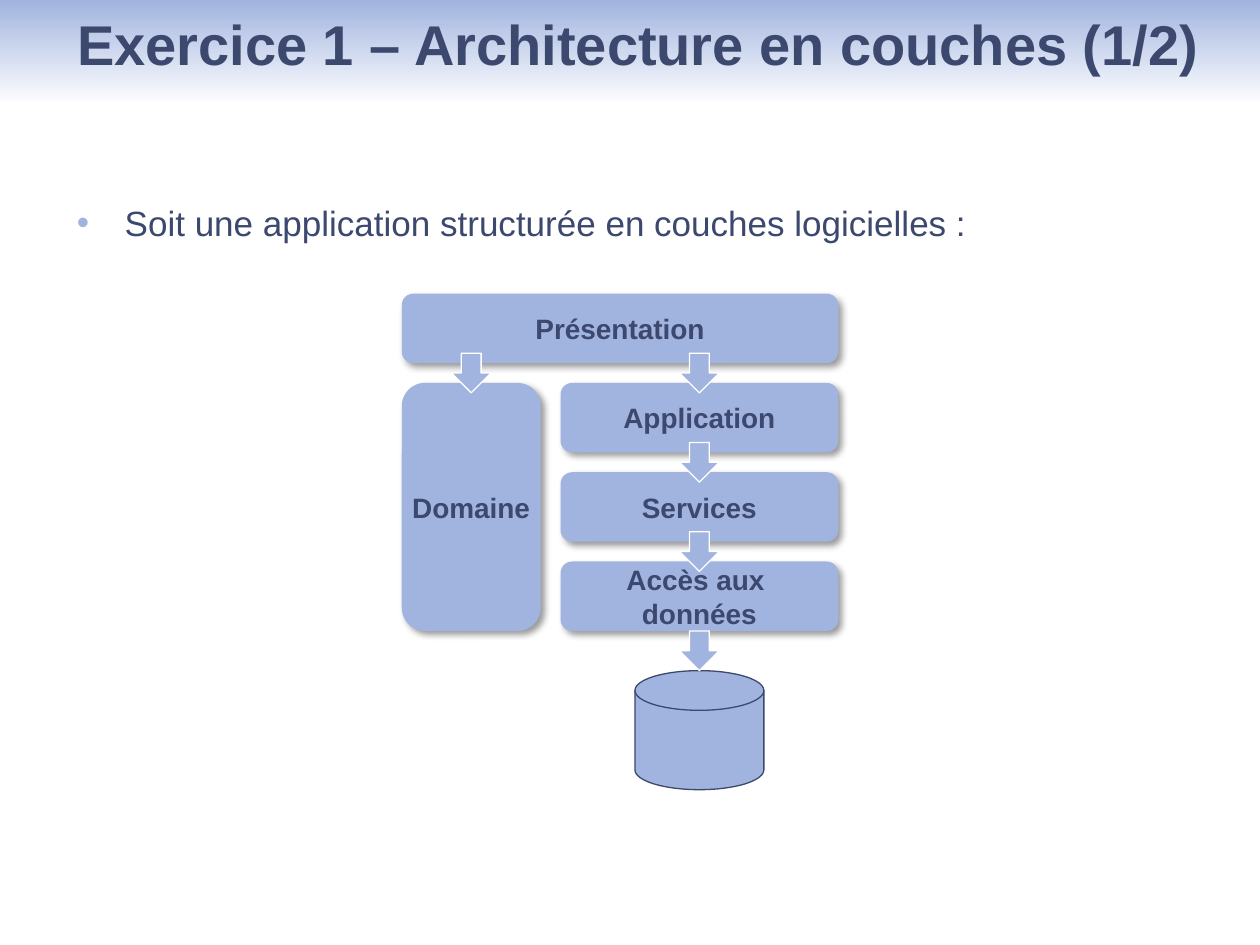
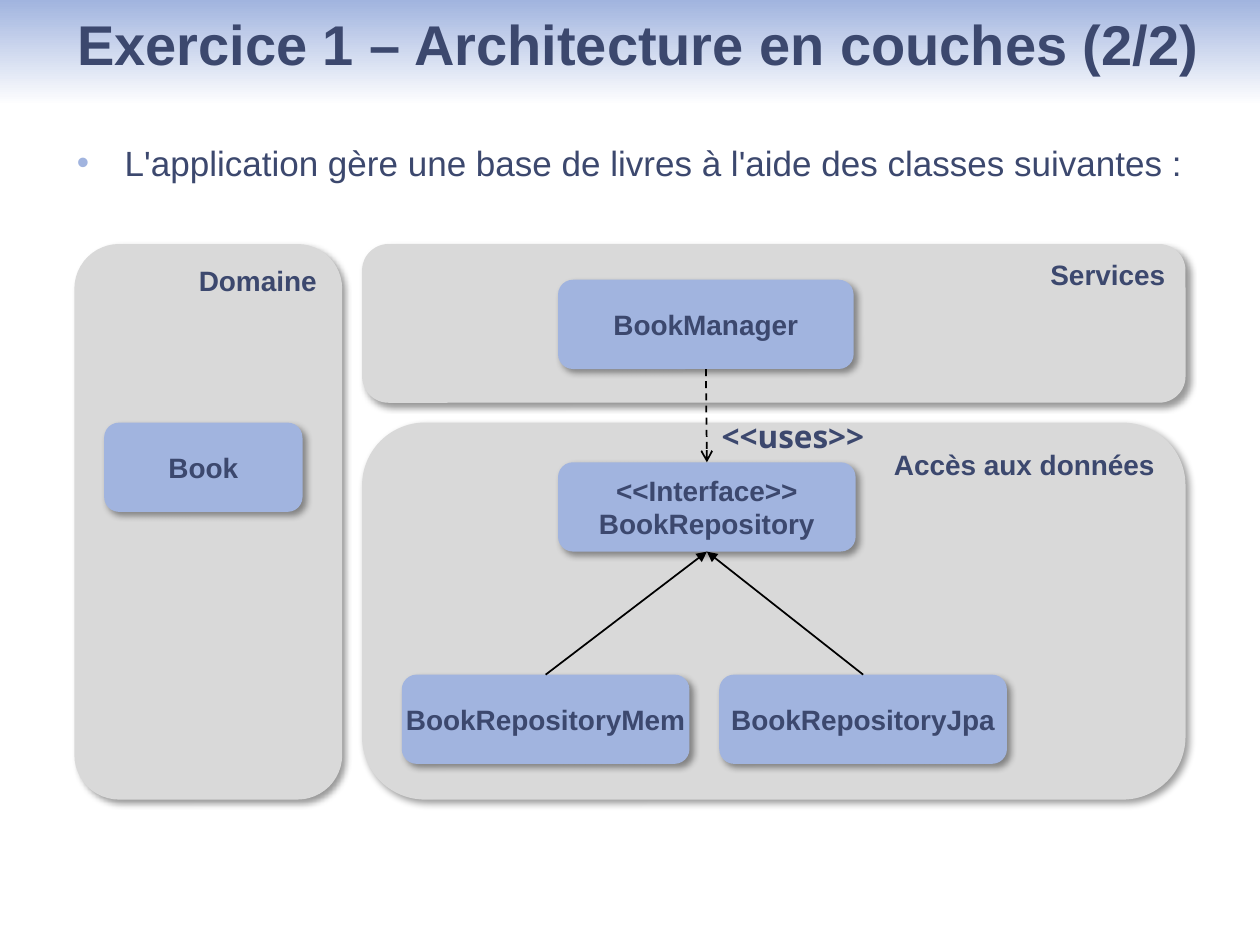
from dataclasses import dataclass

from lxml import etree
from pptx import Presentation
from pptx.dml.color import RGBColor
from pptx.enum.dml import MSO_LINE as Dash
from pptx.enum.shapes import MSO_CONNECTOR as Connector, MSO_SHAPE as Preset
from pptx.enum.text import MSO_ANCHOR as Anchor, MSO_AUTO_SIZE as AutoSize, PP_ALIGN as Align
from pptx.oxml import parse_xml
from pptx.oxml.ns import nsdecls, qn
from pptx.util import Inches, Pt


@dataclass(frozen=True)
class Theme:
    ink: str = "3C486E"
    accent: str = "A1B4DF"
    panel: str = "D9D9D9"
    white: str = "FFFFFF"
    black: str = "000000"
    font: str = "Arial"
    uses_font: str = "Open Sans"
    title: int = 32
    body: int = 20
    label: int = 16
    uses: int = 18


theme = Theme()

presentation = Presentation()
presentation.slide_width = Inches(10)
presentation.slide_height = Inches(7.5)
columns = 127
cell = presentation.slide_width / columns
layout = presentation.slide_layouts[5]


def add_block(slide, preset, box, fill, outline=None, shadow=False):
    shape = slide.shapes.add_shape(preset, *[round(value * cell) for value in box])
    shape.shadow.inherit = False
    shape.fill.solid()
    shape.fill.fore_color.rgb = RGBColor.from_string(fill)
    if outline:
        shape.line.color.rgb = RGBColor.from_string(outline)
        shape.line.width = Pt(0.75)
    else:
        shape.line.fill.background()
    if shadow:
        shape.element.spPr.find(qn("a:effectLst")).append(parse_xml(
            f'<a:outerShdw {nsdecls("a")} blurRad="50800" dist="38100" dir="2700000" algn="tl" rotWithShape="0">'
            f'<a:srgbClr val="{theme.black}"><a:alpha val="40000"/></a:srgbClr></a:outerShdw>'))
    return shape


def write_text(shape, text, size, frame_format, paragraph_format, bold=True, font=theme.font):
    frame = shape.text_frame
    frame.text = text
    for name, value in frame_format.items():
        setattr(frame, name, value)
    for paragraph in frame.paragraphs:
        for name, value in paragraph_format.items():
            setattr(paragraph, name, value)
        for run in paragraph.runs:
            for name, value in {"name": font, "size": Pt(size), "bold": bold}.items():
                setattr(run.font, name, value)
            run.font.color.rgb = RGBColor.from_string(theme.ink)


title_frame = {"vertical_anchor": Anchor.MIDDLE, "word_wrap": True, "auto_size": AutoSize.NONE}
body_frame = {"vertical_anchor": Anchor.TOP, "word_wrap": True}
centre_frame = {"vertical_anchor": Anchor.MIDDLE, "word_wrap": False}
corner_frame = {"vertical_anchor": Anchor.TOP, "word_wrap": False}
left, centred, right = [{"alignment": side} for side in (Align.LEFT, Align.CENTER, Align.RIGHT)]

slides = []
for title, title_columns, intro, intro_row, intro_rows in [
    ("Exercice 1 – Architecture en couches (1/2)", 118,
     "Soit une application structurée en couches logicielles :", 19.7, 59),
    ("Exercice 1 – Architecture en couches (2/2)", 117,
     "L'application gère une base de livres à l'aide des classes suivantes :", 13.6, 65),
]:
    slide = presentation.slides.add_slide(layout)
    slides.append(slide)
    heading = slide.shapes.title
    for name, value in {"left": 6.5, "top": 0, "width": title_columns, "height": 8.6}.items():
        setattr(heading, name, round(value * cell))
    write_text(heading, title, theme.title, title_frame, left)
    body = slide.shapes.add_textbox(*[round(value * cell) for value in (6.5, intro_row, 114.3, intro_rows)])
    write_text(body, intro, theme.body, body_frame, {**left, "space_before": Pt(4)}, bold=False)
    properties = body.text_frame.paragraphs[0]._p.get_or_add_pPr()
    properties.set("marL", str(Inches(0.38)))
    properties.set("indent", str(-Inches(0.38)))
    bullet_color = etree.SubElement(properties, qn("a:buClr"))
    etree.SubElement(bullet_color, qn("a:srgbClr"), val=theme.accent)
    etree.SubElement(properties, qn("a:buFont"), typeface=theme.font)
    etree.SubElement(properties, qn("a:buChar"), char="•")

layers_slide, classes_slide = slides

band = add_block(layers_slide, Preset.RECTANGLE, (0, 0, columns, 10.65), theme.accent)
band.fill.gradient()
band.fill.gradient_angle = 270
for stop, color, position in zip(band.fill.gradient_stops, (theme.accent, theme.white), (0, 1)):
    stop.color.rgb = RGBColor.from_string(color)
    stop.position = position
presentation.slide_master.shapes.element.insert(2, band.element)

first_row, layer_step, layer_rows = 29.6, 9, 7
stack_left, stack_columns = 40.5, 44
inner_left, inner_columns = 56.5, 28
layer_tops = [first_row + layer_step * index for index in range(4)]
layers = [
    ("Présentation", stack_left, layer_tops[0], stack_columns, layer_rows),
    ("Domaine", stack_left, layer_tops[1], 14, 25),
]
for name, top in zip(("Application", "Services", "Accès aux \ndonnées"), layer_tops[1:]):
    layers.append((name, inner_left, top, inner_columns, layer_rows))
for name, *box in layers:
    layer = add_block(layers_slide, Preset.ROUNDED_RECTANGLE, box, theme.accent, shadow=True)
    write_text(layer, name, theme.label, centre_frame, centred)

database_top = layer_tops[3] + layer_rows + 4
add_block(layers_slide, Preset.FLOWCHART_MAGNETIC_DISK, (64, database_top, 13, 12), theme.accent, theme.ink)
arrow_places = [(68.5, top + 6) for top in layer_tops[:3]]
arrow_places += [(68.5, database_top - 4), (45.5, layer_tops[0] + 6)]
for column, row in arrow_places:
    add_block(layers_slide, Preset.DOWN_ARROW, (column, row, 4, 4), theme.accent, theme.white)

for name, *box in [
    ("Services", 36.5, 24.6, 83, 16),
    ("Accès aux données", 36.5, 42.6, 83, 38),
    ("Domaine", 7.5, 24.6, 27, 56),
]:
    panel = add_block(classes_slide, Preset.ROUNDED_RECTANGLE, box, theme.panel, shadow=True)
    write_text(panel, name, theme.label, corner_frame, right)

class_rows = 9
classes = {}
for name, column, row, width in [
    ("<<Interface>>\nBookRepository", 56.25, 46.6, 30),
    ("BookRepositoryMem", 40.5, 68, 29),
    ("BookRepositoryJpa", 72.5, 68, 29),
    ("BookManager", 56.25, 28.2, 29.8),
    ("Book", 10.5, 42.6, 20),
]:
    box = (column, row, width, class_rows)
    classes[name] = add_block(classes_slide, Preset.ROUNDED_RECTANGLE, box, theme.accent, shadow=True)
    write_text(classes[name], name, theme.label, centre_frame, centred)

top_site, bottom_site = 0, 2
interface = classes["<<Interface>>\nBookRepository"]
for name, start_site, end_site, head, dash in [
    ("BookRepositoryMem", top_site, bottom_site, "triangle", None),
    ("BookRepositoryJpa", top_site, bottom_site, "triangle", None),
    ("BookManager", bottom_site, top_site, "arrow", Dash.DASH),
]:
    link = classes_slide.shapes.add_connector(Connector.STRAIGHT, 0, 0, 0, 0)
    link.begin_connect(classes[name], start_site)
    link.end_connect(interface, end_site)
    link.line.color.rgb = RGBColor.from_string(theme.black)
    for attribute, value in {"width": Pt(1), "dash_style": dash}.items():
        setattr(link.line, attribute, value)
    etree.SubElement(link.line._get_or_add_ln(), qn("a:tailEnd"), type=head)
    etree.SubElement(link.element.spPr, qn("a:effectLst"))

uses = classes_slide.shapes.add_textbox(*[round(value * cell) for value in (71.5, 36.6, 21, 5.1)])
write_text(uses, "<<uses>>", theme.uses, {**body_frame, "auto_size": AutoSize.SHAPE_TO_FIT_TEXT},
           {**left, "line_spacing": 2.26}, font=theme.uses_font)

presentation.save("out.pptx")
